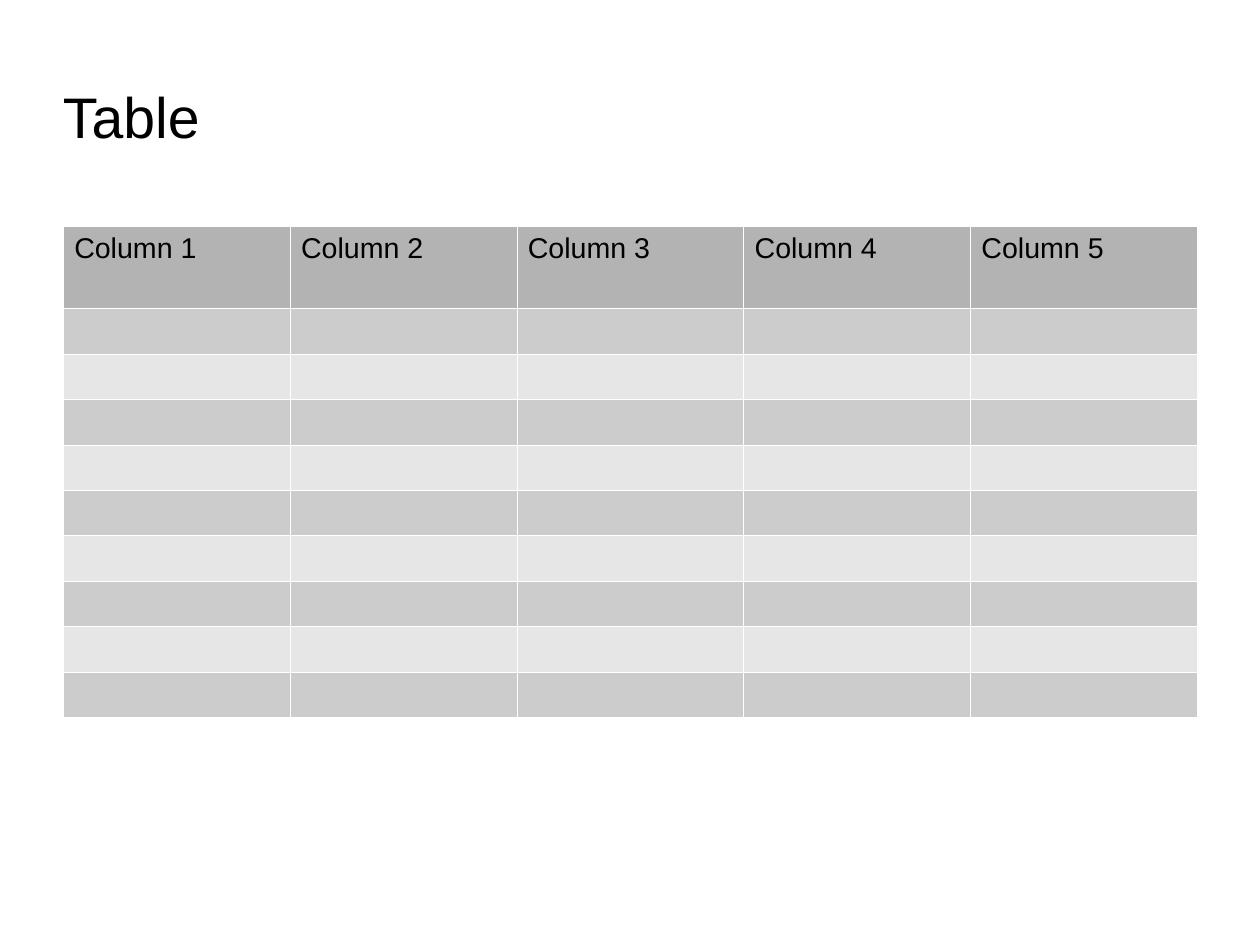
"""Build a slide with a title and a banded five-column table."""
from lxml import etree
from pptx import Presentation
from pptx.dml.color import RGBColor
from pptx.enum.text import MSO_ANCHOR, PP_ALIGN
from pptx.oxml.ns import qn
from pptx.util import Cm, Pt

LEFT = PP_ALIGN.LEFT
MIDDLE = MSO_ANCHOR.MIDDLE
TITLE_ONLY = 5

THEME = {
    "font": "Arial",
    "title_size": Pt(36),
    "header_size": Pt(18),
    "text": RGBColor(0, 0, 0),
    "header": RGBColor(0xB3, 0xB3, 0xB3),
    "bands": [RGBColor(0xCC, 0xCC, 0xCC), RGBColor(0xE6, 0xE6, 0xE6)],
    "border": "FFFFFF",
    "border_width": Pt(0.06),
}
COLUMNS, BODY_ROWS = 5, 9
MARGIN = Cm(1.4)
COLUMN_WIDTH, HEADER_HEIGHT, ROW_HEIGHT = Cm(5.04), Cm(1.83), Cm(1.01)


def style_text(paragraph, size):
    paragraph.alignment = LEFT
    paragraph.line_spacing = 0.94
    paragraph.font.name = THEME["font"]
    paragraph.font.size = size
    paragraph.font.bold = False
    paragraph.font.color.rgb = THEME["text"]


def style_cell(cell, color):
    properties = cell._tc.get_or_add_tcPr()
    for side in ("a:lnL", "a:lnR", "a:lnT", "a:lnB"):
        border = etree.SubElement(properties, qn(side), w=str(THEME["border_width"]))
        border_fill = etree.SubElement(border, qn("a:solidFill"))
        etree.SubElement(border_fill, qn("a:srgbClr"), val=THEME["border"])
    cell.fill.solid()
    cell.fill.fore_color.rgb = color


presentation = Presentation()
presentation.slide_width = Cm(28)
presentation.slide_height = Cm(21)
slide = presentation.slides.add_slide(presentation.slide_layouts[TITLE_ONLY])

title = slide.shapes.title
title.left, title.top, title.width, title.height = MARGIN, Cm(1.6), Cm(20), Cm(2)
heading = title.text_frame
heading.text = "Table"
heading.vertical_anchor = MIDDLE
heading.margin_left = heading.margin_right = heading.margin_bottom = 0
heading.margin_top = Cm(0.08)
style_text(heading.paragraphs[0], THEME["title_size"])

table = slide.shapes.add_table(
    BODY_ROWS + 1, COLUMNS, MARGIN, Cm(5.02),
    COLUMNS * COLUMN_WIDTH, HEADER_HEIGHT + BODY_ROWS * ROW_HEIGHT,
).table
table.first_row = table.horz_banding = False
for column in table.columns:
    column.width = COLUMN_WIDTH

for row_number, row in enumerate(table.rows):
    is_header = row_number == 0
    row.height = HEADER_HEIGHT if is_header else ROW_HEIGHT
    color = THEME["header"] if is_header else THEME["bands"][(row_number - 1) % 2]
    for column_number, cell in enumerate(row.cells, start=1):
        style_cell(cell, color)
        cell.margin_left = cell.margin_right = Cm(0.25)
        cell.margin_top = Cm(0.18) if is_header else Cm(0.08)
        cell.margin_bottom = Cm(0.13) if is_header else Cm(0.08)
        if is_header:
            cell.text = f"Column {column_number}"
        style_text(cell.text_frame.paragraphs[0], THEME["header_size"])

presentation.save("out.pptx")
